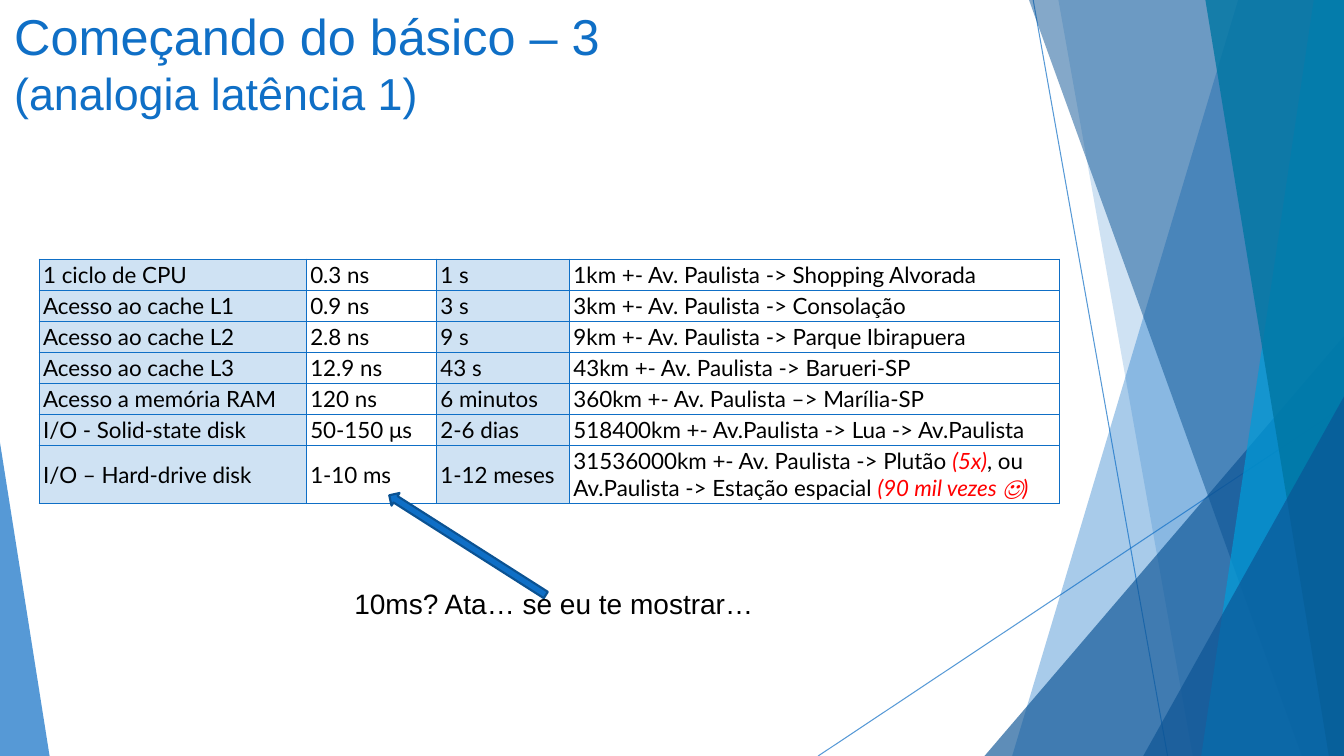
from lxml import etree
from pptx import Presentation
from pptx import util as u
from pptx.dml.color import RGBColor
from pptx.enum import shapes, text
from pptx.oxml import ns

COLUMNS, ROWS = 80, 45
BLUE = RGBColor(0x0F, 0x6F, 0xC6)
NAVY = RGBColor(0x0B, 0x53, 0x94)
OUTLINE = RGBColor(0x0B, 0x52, 0x92)
CYAN = RGBColor(0x00, 0x9D, 0xD9)
TEAL = RGBColor(0x00, 0x76, 0xA3)
BLACK = RGBColor(0, 0, 0)
RED = RGBColor(0xFF, 0, 0)

COLUMN_WIDTHS = (15.9, 7.75, 7.92, 29.15)
ROW_HEIGHTS = (1.85,) * 6 + (3.45,)
LATENCIES = [
    ("1 ciclo de CPU", "0.3 ns", "1 s", "1km +- Av. Paulista -> Shopping Alvorada"),
    ("Acesso ao cache L1", "0.9 ns", "3 s", "3km +- Av. Paulista -> Consolação"),
    ("Acesso ao cache L2", "2.8 ns", "9 s", "9km +- Av. Paulista -> Parque Ibirapuera"),
    ("Acesso ao cache L3", "12.9 ns", "43 s", "43km +- Av. Paulista -> Barueri-SP"),
    ("Acesso a memória RAM", "120 ns", "6 minutos", "360km +- Av. Paulista –> Marília-SP"),
    ("I/O - Solid-state disk", "50-150 μs", "2-6 dias",
     "518400km +- Av.Paulista -> Lua -> Av.Paulista"),
    ("I/O – Hard-drive disk", "1-10 ms", "1-12 meses",
     ("31536000km +- Av. Paulista -> Plutão ", "(5x)",
      ", ou Av.Paulista -> Estação espacial ", "(90 mil vezes ☺)")),
]


def write(paragraph, words, size=16, font="Lato", color=BLACK, italic=False):
    run = paragraph.add_run()
    run.text = words
    run.font.size = u.Pt(size)
    run.font.name = font
    run.font.color.rgb = color
    run.font.italic = italic


def set_opacity(properties, percent):
    color = properties.find(ns.qn("a:solidFill"))[0]
    etree.SubElement(color, ns.qn("a:alpha")).set("val", str(percent * 1000))


def add_borders(cell, color, points):
    """Call before filling the cell: borders precede the fill in its properties."""
    properties = cell._tc.get_or_add_tcPr()
    for side in ("lnL", "lnR", "lnT", "lnB"):
        border = etree.SubElement(properties, ns.qn(f"a:{side}"), w=str(u.Pt(points)))
        fill = etree.SubElement(border, ns.qn("a:solidFill"))
        etree.SubElement(fill, ns.qn("a:srgbClr"), val=str(color))


class GridSlide:
    """A slide measured in a grid of 80 columns by 45 rows."""

    def __init__(self, deck):
        self.slide = deck.slides.add_slide(deck.slide_layouts[6])
        self.column = deck.slide_width / COLUMNS
        self.row = deck.slide_height / ROWS

    def x(self, columns):
        return u.Emu(round(columns * self.column))

    def y(self, rows):
        return u.Emu(round(rows * self.row))

    def box(self, left, top, width, height):
        return self.x(left), self.y(top), self.x(width), self.y(height)

    def paint(self, shape, color, opacity=100):
        shape.shadow.inherit = False
        shape.fill.solid()
        shape.fill.fore_color.rgb = color
        shape.line.fill.background()
        if opacity < 100:
            set_opacity(shape.element.spPr, opacity)

    def line(self, start, end):
        line = self.slide.shapes.add_connector(
            shapes.MSO_CONNECTOR.STRAIGHT,
            self.x(start[0]), self.y(start[1]), self.x(end[0]), self.y(end[1]))
        line.line.color.rgb = BLUE
        line.line.width = u.Pt(0.75)
        properties = line.element.spPr
        set_opacity(properties.find(ns.qn("a:ln")), 70)
        etree.SubElement(properties, ns.qn("a:effectLst"))

    def band(self, top, bottom, color, opacity):
        """A full-height band from a slanted left edge to the slide's right side."""
        corners = [(self.x(column), self.y(row)) for column, row in
                   ((top, 0), (COLUMNS, 0), (COLUMNS, ROWS), (bottom, ROWS))]
        outline = self.slide.shapes.build_freeform(*corners[0], scale=1.0)
        outline.add_line_segments(corners[1:], close=True)
        self.paint(outline.convert_to_shape(), color, opacity)

    def triangle(self, left, top, width, apex, color, opacity):
        """A triangle that stands on the slide's bottom edge."""
        triangle = self.slide.shapes.add_shape(
            shapes.MSO_SHAPE.ISOSCELES_TRIANGLE, *self.box(left, top, width, ROWS - top))
        triangle.adjustments[0] = apex
        self.paint(triangle, color, opacity)

    def arrow(self, left, top, width, height, rotation):
        arrow = self.slide.shapes.add_shape(
            shapes.MSO_SHAPE.LEFT_ARROW, *self.box(left, top, width, height))
        arrow.rotation = rotation
        self.paint(arrow, BLUE)
        arrow.line.color.rgb = OUTLINE
        arrow.line.width = u.Pt(1.5)

    def paragraph(self, left, top, width, height):
        frame = self.slide.shapes.add_textbox(*self.box(left, top, width, height)).text_frame
        frame.word_wrap = True
        frame.vertical_anchor = text.MSO_ANCHOR.TOP
        return frame.paragraphs[0]

    def table(self, left, top, widths, heights, rows):
        table = self.slide.shapes.add_table(
            len(rows), len(widths), *self.box(left, top, sum(widths), sum(heights))).table
        table.first_row = table.horz_banding = False
        for column, width in zip(table.columns, widths):
            column.width = self.x(width)
        for row, height, entries in zip(table.rows, heights, rows):
            row.height = self.y(height)
            for index, (cell, entry) in enumerate(zip(row.cells, entries)):
                self.fill_cell(cell, entry, tinted=index % 2 == 0)

    def fill_cell(self, cell, entry, tinted):
        """Write the entry; every second piece of a tuple is emphasised."""
        cell.margin_left = cell.margin_right = self.x(0.24)
        cell.margin_top = cell.margin_bottom = self.y(0.12)
        cell.vertical_anchor = text.MSO_ANCHOR.MIDDLE
        add_borders(cell, BLUE, 1)
        if tinted:
            cell.fill.solid()
            cell.fill.fore_color.rgb = BLUE
            set_opacity(cell._tc.tcPr, 20)
        else:
            cell.fill.background()
        pieces = (entry,) if isinstance(entry, str) else entry
        for index, piece in enumerate(pieces):
            emphasis = index % 2 == 1
            write(cell.text_frame.paragraphs[0], piece,
                  color=RED if emphasis else BLACK, italic=emphasis)


def draw_backdrop(page):
    page.line((61.5, 0), (69.5, ROWS))
    page.line((COLUMNS, 24.18), (48.7, ROWS))
    page.band(73.7, 60.25, BLUE, 36)
    page.band(63, 71, BLUE, 20)
    page.triangle(58.6, 20, 21.4, 1, NAVY, 66)
    page.band(61.25, 77.5, NAVY, 50)
    page.band(78.2, 71.5, CYAN, 70)
    page.band(71.75, 79.1, TEAL, 80)
    page.triangle(68.05, 23.6, 11.95, 1, NAVY, 66)
    page.triangle(0, 26.35, 2.95, 0, BLUE, 70)


def main():
    deck = Presentation()
    deck.slide_width, deck.slide_height = u.Inches(13.33), u.Inches(7.5)
    page = GridSlide(deck)
    draw_backdrop(page)

    title = page.paragraph(0.25, 0, 62.8, 8.6)
    write(title, "Começando do básico – 3", size=36, font="Arial", color=BLUE)
    title.add_line_break()
    write(title, "(analogia latência 1)", size=32, font="Arial", color=BLUE)

    page.table(2.33, 15.43, COLUMN_WIDTHS, ROW_HEIGHTS, LATENCIES)
    page.arrow(22.3, 32, 11.05, 0.9, rotation=32.5)
    remark = page.paragraph(20.5, 34.6, 26.1, 2.65)
    write(remark, "10ms? Ata… se eu te mostrar…", size=20, font="Arial")

    deck.save("out.pptx")


if __name__ == "__main__":
    main()
